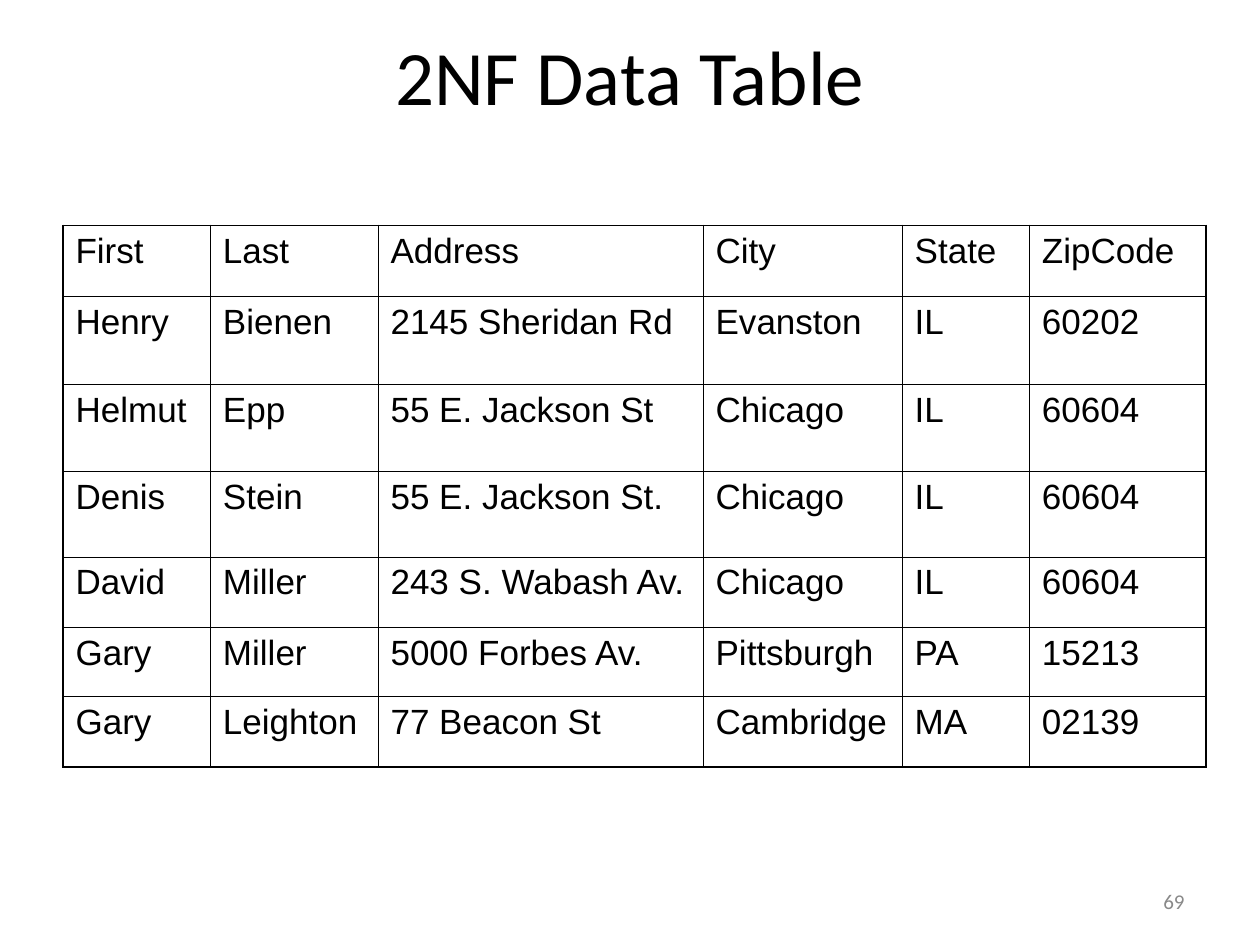
from lxml.etree import SubElement
from pptx import Presentation
from pptx.dml.color import RGBColor
from pptx.enum.text import MSO_ANCHOR as ANCHOR, PP_ALIGN as ALIGN
from pptx.oxml.ns import qn
from pptx.util import Inches, Pt

BLACK = RGBColor(0x00, 0x00, 0x00)
GREY = RGBColor(0x89, 0x89, 0x89)

COLUMN_WIDTHS = [11.7, 13.3, 25.8, 15.8, 10.1, 14]
ROW_HEIGHTS = [5.6, 7, 6.9, 6.8, 5.6, 5.5, 5.6]
PEOPLE = [
    ["First", "Last", "Address", "City", "State", "ZipCode"],
    ["Henry", "Bienen", "2145 Sheridan Rd", "Evanston", "IL", "60202"],
    ["Helmut", "Epp", "55 E. Jackson St", "Chicago", "IL", "60604"],
    ["Denis", "Stein", "55 E. Jackson St.", "Chicago", "IL", "60604"],
    ["David", "Miller", "243 S. Wabash Av.", "Chicago", "IL", "60604"],
    ["Gary", "Miller", "5000 Forbes Av.", "Pittsburgh", "PA", "15213"],
    ["Gary", "Leighton", "77 Beacon St", "Cambridge", "MA", "02139"],
]


class Deck:
    """Style and current slide, laid out on a grid of 100 columns by 75 rows."""

    heading_font, body_font = "Calibri", "Arial"
    outer_line, inner_line = Pt(1.08), Pt(0.45)

    def __init__(self):
        self.prs = Presentation()
        self.prs.slide_width, self.prs.slide_height = Inches(10), Inches(7.5)
        self.unit = self.prs.slide_width / 100
        self.s = self.prs.slides.add_slide(self.prs.slide_layouts[5])

    def grid(self, *lengths):
        return [round(n * self.unit) for n in lengths]

    def set_text(self, tf, text, font, size, color, align):
        tf.text = text
        p = tf.paragraphs[0]
        p.alignment = align
        p.font.name, p.font.size = font, Pt(size)
        p.font.color.rgb = color

    def title(self, text, *box):
        sp = self.s.shapes.title
        sp.left, sp.top, sp.width, sp.height = self.grid(*box)
        sp.text_frame.vertical_anchor = ANCHOR.MIDDLE
        self.set_text(sp.text_frame, text, self.heading_font, 44, BLACK, ALIGN.CENTER)

    def page_number(self, text, *box):
        tf = self.s.shapes.add_textbox(*self.grid(*box)).text_frame
        tf.word_wrap = True
        tf.vertical_anchor = ANCHOR.MIDDLE
        self.set_text(tf, text, self.heading_font, 12, GREY, ALIGN.RIGHT)

    def border(self, cell, side, outer):
        width = self.outer_line if outer else self.inner_line
        ln = SubElement(cell._tc.get_or_add_tcPr(), qn(f"a:ln{side}"), w=str(width))
        fill = SubElement(ln, qn("a:solidFill"))
        SubElement(fill, qn("a:srgbClr"), val=str(BLACK))

    def table(self, rows, left, top, widths, heights):
        box = self.grid(left, top, sum(widths), sum(heights))
        table = self.s.shapes.add_table(len(rows), len(widths), *box).table
        table.first_row = table.horz_banding = False
        for column, width in zip(table.columns, self.grid(*widths)):
            column.width = width
        for row, height in zip(table.rows, self.grid(*heights)):
            row.height = height
        last_row, last_column = len(rows) - 1, len(widths) - 1
        for i, row in enumerate(rows):
            for j, text in enumerate(row):
                cell = table.cell(i, j)
                self.set_text(cell.text_frame, text, self.body_font, 20, BLACK, ALIGN.LEFT)
                self.border(cell, "L", j == 0)
                self.border(cell, "R", j == last_column)
                self.border(cell, "T", i == 0)
                self.border(cell, "B", i == last_row)
                cell.fill.background()


def main():
    deck = Deck()
    deck.title("2NF Data Table", 0, 1, 100, 9.8)
    deck.table(PEOPLE, 5, 17.9, COLUMN_WIDTHS, ROW_HEIGHTS)
    deck.page_number("69", 71.7, 69.5, 23.3, 4)
    deck.prs.save("out.pptx")


if __name__ == "__main__":
    main()
